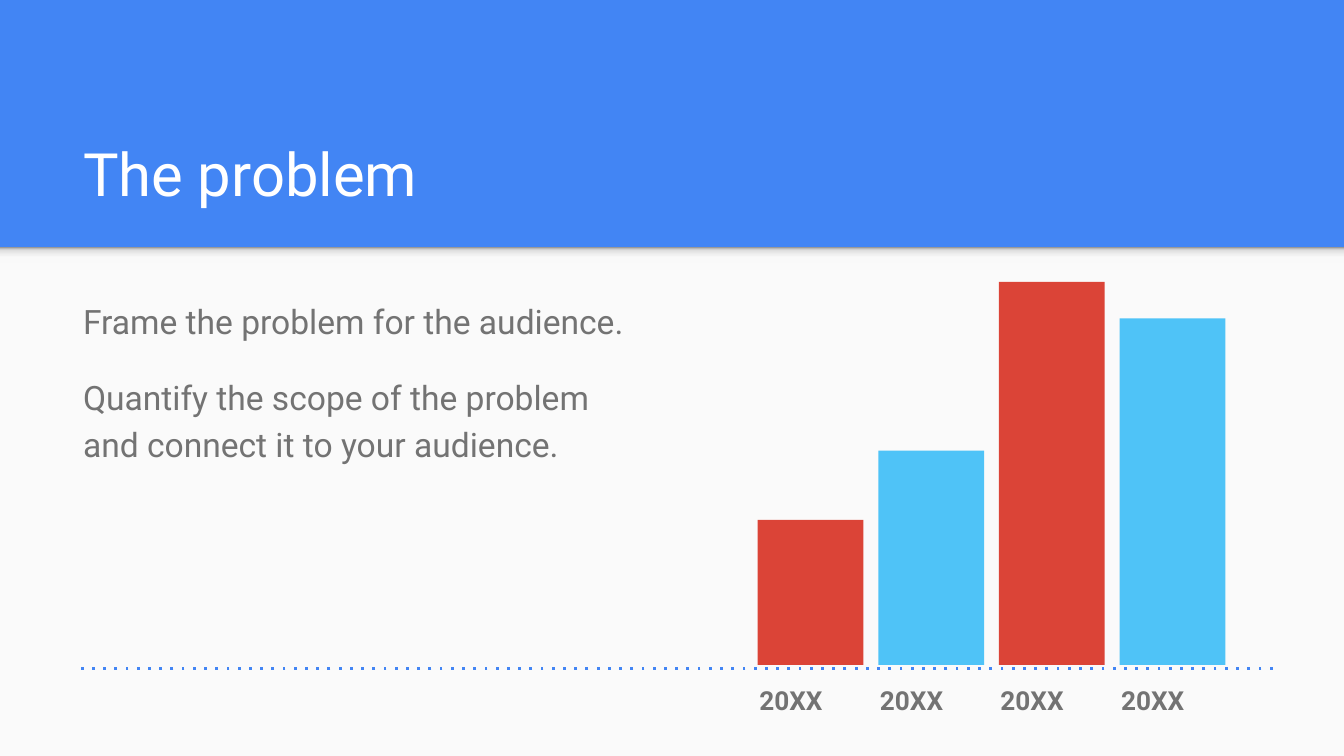
from lxml import etree
from pptx import Presentation
from pptx import util as u
from pptx.dml.color import RGBColor
from pptx.enum import dml, shapes, text
from pptx.oxml.ns import qn

THEME = {
    "font": "Roboto",
    "header": "4285F4", "body": "FAFAFA", "title": "FFFFFF", "text": "737373",
    "red": "DB4437", "blue": "4FC3F7",
    "title_size": 32, "body_size": 18, "label_size": 14, "line_spacing": 1.15,
}
NO_STYLE_NO_GRID = "{2D5ABB26-0587-4C30-8999-92F81FD0307C}"

TITLE = "The problem"
BODY = [
    "Frame the problem for the audience.",
    "Quantify the scope of the problem and connect it to your audience.",
]
# label, bar height in cm, colour
BARS = [
    ("20XX", 2.74, "red"),
    ("20XX", 4.05, "blue"),
    ("20XX", 7.24, "red"),
    ("20XX", 6.55, "blue"),
]
# position in percent, colour, from bottom to top of the header's shadow
SHADOW_STOPS = [(0, "F9F9F9"), (36, "F9F9F9"), (80, "DEDEDE"), (100, "999999")]

SLIDE_WIDTH, SLIDE_HEIGHT = 25.4, 14.29
HEADER_HEIGHT, SHADOW_HEIGHT = 4.67, 0.3
INSET = 0.25
BAR_LEFT, BAR_WIDTH, BAR_PITCH, BAR_BOTTOM = 14.32, 2.0, 2.28, 12.57
LABEL_LEFT, LABEL_HEIGHT = 14.1, 0.66
AXIS_LEFT, AXIS_RIGHT, AXIS_TOP = 1.42, 24.05, 12.64


def colour(name):
    return RGBColor.from_string(THEME[name])


def box(*lengths):
    return [u.Cm(length) for length in lengths]


def add_rectangle(slide, left, top, width, height, fill):
    shape = slide.shapes.add_shape(
        shapes.MSO_SHAPE.RECTANGLE, *box(left, top, width, height))
    shape.shadow.inherit = False
    shape.fill.solid()
    shape.fill.fore_color.rgb = colour(fill)
    shape.line.fill.background()
    return shape


def add_run(paragraph, words, size, fill, bold=False):
    run = paragraph.add_run()
    run.text = words
    run.font.name = THEME["font"]
    run.font.size = u.Pt(THEME[size])
    run.font.bold = bold
    run.font.color.rgb = colour(fill)


def set_insets(target):
    """Give a text frame or a table cell the same inset on every side."""
    target.margin_left = target.margin_right = u.Cm(INSET)
    target.margin_top = target.margin_bottom = u.Cm(INSET)


def add_text(slide, bounds, paragraphs, size, fill, anchor, spacing=1.0):
    frame = slide.shapes.add_textbox(*box(*bounds)).text_frame
    frame.word_wrap = True
    frame.vertical_anchor = anchor
    set_insets(frame)
    for index, words in enumerate(paragraphs):
        paragraph = frame.add_paragraph() if index else frame.paragraphs[0]
        paragraph.line_spacing = spacing
        paragraph.space_before = u.Pt(16 if index else 0)
        add_run(paragraph, words, size, fill)


def add_header_shadow(slide):
    shape = add_rectangle(
        slide, 0, HEADER_HEIGHT, SLIDE_WIDTH, SHADOW_HEIGHT, "body")
    shape.fill.gradient()
    shape.fill.gradient_angle = 90
    stops = shape.fill._fill._gradFill.find(qn("a:gsLst"))
    for stop in list(stops):
        stops.remove(stop)
    for position, value in SHADOW_STOPS:
        stop = etree.SubElement(stops, qn("a:gs"), pos=str(position * 1000))
        etree.SubElement(stop, qn("a:srgbClr"), val=value)


def add_labels(slide):
    table = slide.shapes.add_table(1, len(BARS), *box(
        LABEL_LEFT, AXIS_TOP, BAR_PITCH * len(BARS), LABEL_HEIGHT)).table
    table.first_row = table.horz_banding = False
    table._tbl.tblPr.find(qn("a:tableStyleId")).text = NO_STYLE_NO_GRID
    for cell, (label, _, _) in zip(table.rows[0].cells, BARS):
        cell.fill.background()
        set_insets(cell)
        paragraph = cell.text_frame.paragraphs[0]
        paragraph.line_spacing = THEME["line_spacing"]
        add_run(paragraph, label, "label_size", "text", bold=True)


def add_bars(slide):
    for index, (_, height, fill) in enumerate(BARS):
        add_rectangle(slide, BAR_LEFT + index * BAR_PITCH, BAR_BOTTOM - height,
                      BAR_WIDTH, height, fill)


def add_axis(slide):
    axis = slide.shapes.add_connector(
        shapes.MSO_CONNECTOR.STRAIGHT,
        *box(AXIS_RIGHT, AXIS_TOP, AXIS_LEFT, AXIS_TOP))
    axis.line.color.rgb = colour("header")
    axis.line.width = u.Pt(1.5)
    axis.line.dash_style = dml.MSO_LINE.ROUND_DOT
    properties = axis._element.spPr
    dash = properties.find(".//" + qn("a:prstDash"))
    dash.set("val", "dot")
    etree.SubElement(properties, qn("a:effectLst"))


def main():
    presentation = Presentation()
    presentation.slide_width, presentation.slide_height = box(
        SLIDE_WIDTH, SLIDE_HEIGHT)
    slide = presentation.slides.add_slide(presentation.slide_layouts[6])
    slide.background.fill.solid()
    slide.background.fill.fore_color.rgb = colour("header")

    add_rectangle(slide, 0, HEADER_HEIGHT, SLIDE_WIDTH,
                  SLIDE_HEIGHT - HEADER_HEIGHT, "body")
    add_header_shadow(slide)
    add_text(slide, (1.32, 2.06, 22.83, 2.13), [TITLE], "title_size", "title",
             text.MSO_ANCHOR.BOTTOM)
    add_text(slide, (1.32, 5.33, 11.1, 7.52), BODY, "body_size", "text",
             text.MSO_ANCHOR.TOP, THEME["line_spacing"])
    add_labels(slide)
    add_bars(slide)
    add_axis(slide)
    presentation.save("out.pptx")


if __name__ == "__main__":
    main()
